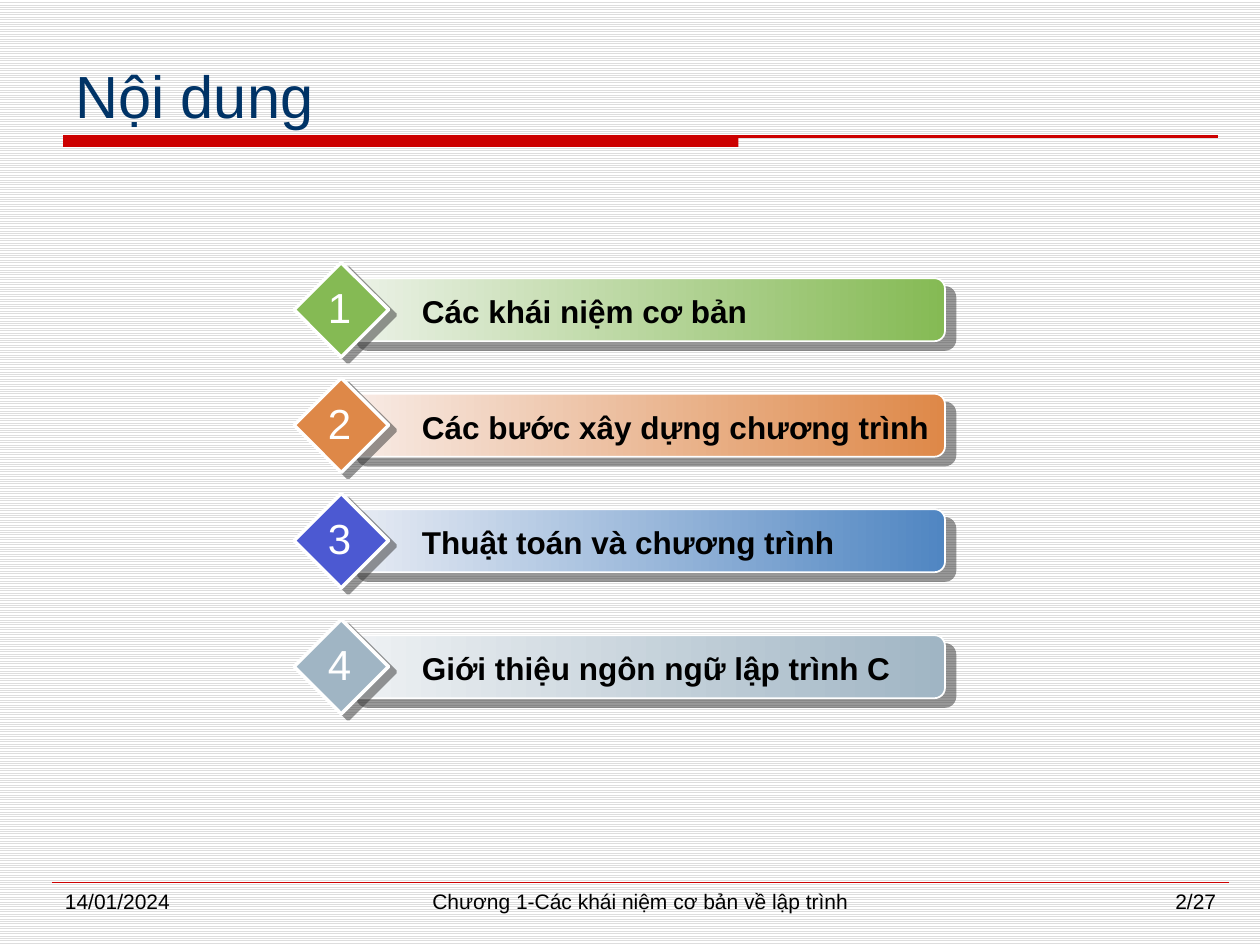
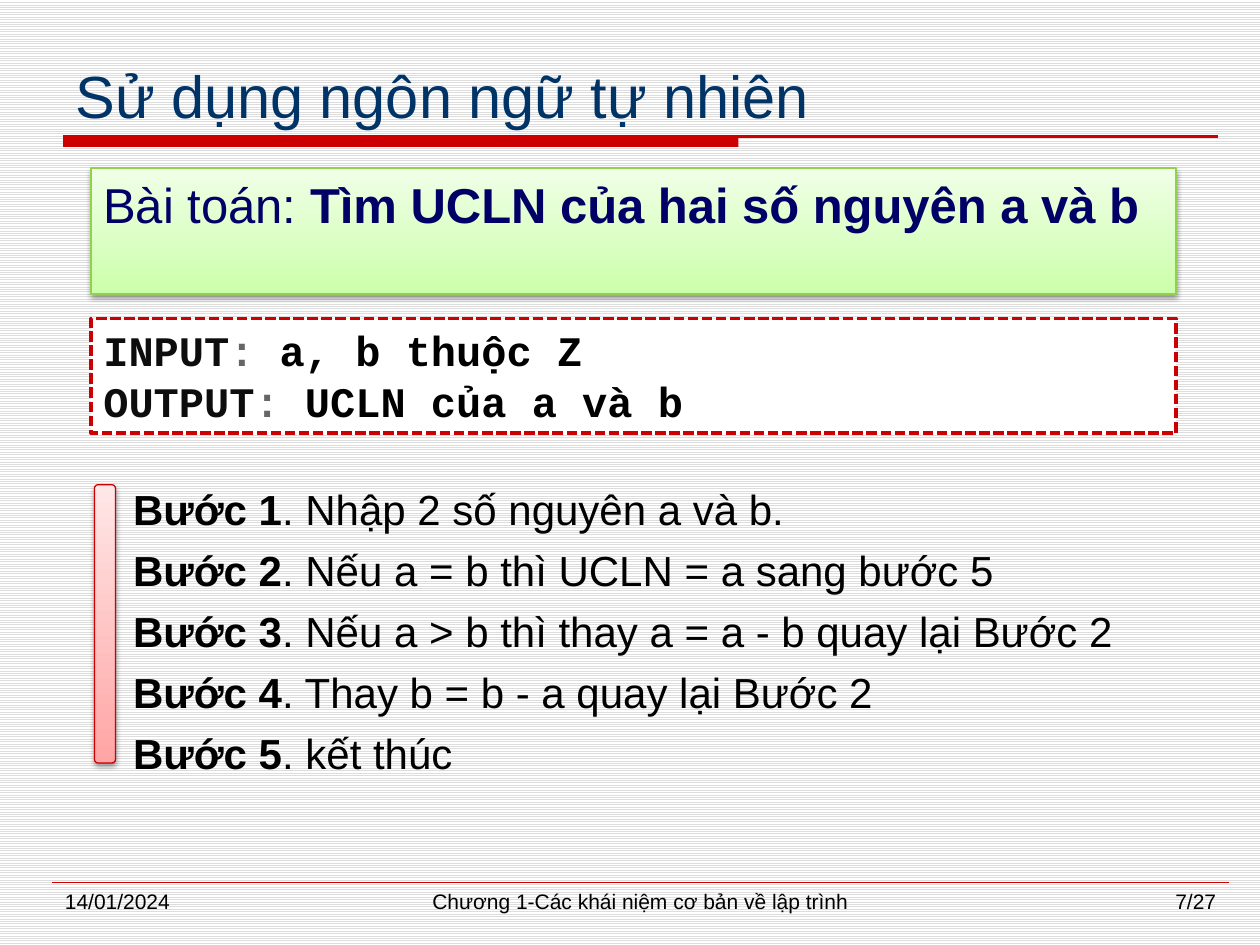
from dataclasses import dataclass
from typing import NamedTuple

import pptx
import pptx.dml.color
import pptx.enum.dml
import pptx.enum.shapes
import pptx.enum.text
import pptx.oxml.ns
import pptx.util
from lxml import etree
from pptx.util import Pt

ALIGN = pptx.enum.text.PP_ALIGN
ANCHOR = pptx.enum.text.MSO_ANCHOR
SHAPE = pptx.enum.shapes.MSO_SHAPE
DASH = pptx.enum.dml.MSO_LINE


@dataclass(frozen=True)
class Theme:
    sans: str = "Arial"
    mono: str = "Courier New"
    title_size: float = 34
    problem_size: float = 28
    body_size: float = 24
    label_size: float = 18
    footer_size: float = 12
    title: str = "003366"
    problem: str = "000066"
    text: str = "000000"
    keyword: str = "0D0D0D"
    colon: str = "666666"
    paper: str = "FFFFFF"
    stripe: str = "DDDDDD"
    accent: str = "CC0000"
    green: tuple[str, str] = ("F0FFE8", "CCFFAA")
    green_line: str = "92D050"
    red: tuple[str, str] = ("FFE7E7", "FFA5A5")


THEME = Theme()


class Area(NamedTuple):
    left: float
    top: float
    width: float
    height: float


class Span(NamedTuple):
    text: str
    bold: bool = False
    color: str = THEME.text


class Shadow(NamedTuple):
    color: str
    opacity: int
    blur: float
    distance: float
    angle: int


class AgendaItem(NamedTuple):
    top: float
    label: str
    light: str
    dark: str
    diamond: str


BAR_SHADOW = Shadow("333333", 50, 0, 7.8, 40)
DIAMOND_SHADOW = Shadow("333333", 50, 0, 5, 37)
SOFT_SHADOW = Shadow("000000", 38, 3.1, 1.6, 90)

AGENDA = [
    AgendaItem(150, "Các khái niệm cơ bản", "ECF2E8", "85BA54", "85BA54"),
    AgendaItem(216, "Các bước xây dựng chương trình", "F8ECE7", "DE8848", "DE8848"),
    AgendaItem(282, "Thuật toán và chương trình", "E8ECF4", "5086C2", "4C59D2"),
    AgendaItem(354, "Giới thiệu ngôn ngữ lập trình C", "EFF2F4", "A0B5C4", "A0B5C4"),
]
STEPS = [
    "Nhập 2 số nguyên a và b.",
    "Nếu a = b thì UCLN = a sang bước 5",
    "Nếu a > b thì thay a = a - b quay lại Bước 2",
    "Thay b = b - a quay lại Bước 2",
    "kết thúc",
]
CONTRACT = [("INPUT", " a, b thuộc Z"), ("OUTPUT", " UCLN của a và b")]


def rgb(color: str) -> pptx.dml.color.RGBColor:
    return pptx.dml.color.RGBColor.from_string(color)


def points(area: Area) -> list[pptx.util.Length]:
    return [Pt(length) for length in area]


def write(shape, lines: list[list[Span]], size: float, font: str = THEME.sans,
          align=ALIGN.LEFT, anchor=ANCHOR.TOP, gap: float = 0) -> None:
    """Fill a shape with paragraphs of spans, separated by a gap."""
    frame = shape.text_frame
    frame.word_wrap = True
    frame.vertical_anchor = anchor
    for index, line in enumerate(lines):
        para = frame.add_paragraph() if index else frame.paragraphs[0]
        para.alignment = align
        para.space_before = Pt(gap if index else 0)
        for span in line:
            run = para.add_run()
            run.text = span.text
            run.font.name = font
            run.font.size = Pt(size)
            run.font.bold = span.bold
            run.font.color.rgb = rgb(span.color)


def add_text(page, area: Area, lines: list[list[Span]], size: float, **style):
    box = page.shapes.add_textbox(*points(area))
    write(box, lines, size, **style)
    return box


def add_shape(page, kind, area: Area, colors: tuple[str, ...], line: str | None = None,
              width: float = 1, angle: int = 0, shadow: Shadow | None = None):
    """Draw a preset shape; two colours make a gradient."""
    shape = page.shapes.add_shape(kind, *points(area))
    if len(colors) == 1:
        shape.fill.solid()
        shape.fill.fore_color.rgb = rgb(colors[0])
    else:
        shape.fill.gradient()
        shape.fill.gradient_angle = angle
        for stop, color in zip(shape.fill.gradient_stops, colors):
            stop.color.rgb = rgb(color)
    if line:
        shape.line.color.rgb = rgb(line)
        shape.line.width = Pt(width)
    else:
        shape.line.fill.background()
    shape.shadow.inherit = False
    if shadow:
        add_shadow(shape, shadow)
    return shape


def add_shadow(shape, shadow: Shadow) -> None:
    qn = pptx.oxml.ns.qn
    effects = shape.element.spPr.find(qn("a:effectLst"))
    outer = etree.SubElement(
        effects, qn("a:outerShdw"), blurRad=str(int(Pt(shadow.blur))),
        dist=str(int(Pt(shadow.distance))), dir=str(shadow.angle * 60000),
        algn="ctr", rotWithShape="0")
    color = etree.SubElement(outer, qn("a:srgbClr"), val=shadow.color)
    etree.SubElement(color, qn("a:alpha"), val=str(shadow.opacity * 1000))


def add_rule(page, left: float, right: float, top: float, width: float) -> None:
    rule = page.shapes.add_connector(
        pptx.enum.shapes.MSO_CONNECTOR.STRAIGHT, Pt(left), Pt(top), Pt(right), Pt(top))
    rule.line.color.rgb = rgb(THEME.accent)
    rule.line.width = Pt(width)
    etree.SubElement(rule.element.spPr, pptx.oxml.ns.qn("a:effectLst"))


def add_page(deck, title: str, number: str):
    """Add a page with the striped background, title band and footer."""
    page = deck.slides.add_slide(deck.slide_layouts[6])
    fill = page.background.fill
    fill.patterned()
    fill.pattern = pptx.enum.dml.MSO_PATTERN.LIGHT_HORIZONTAL
    fill.fore_color.rgb = rgb(THEME.stripe)
    fill.back_color.rgb = rgb(THEME.paper)

    # Title and its band
    add_shape(page, SHAPE.RECTANGLE, Area(36, 78, 386, 6), (THEME.accent,))
    add_rule(page, 36, 696, 78, 1.5)
    add_text(page, Area(36, 24, 660, 54), [[Span(title, color=THEME.title)]],
             THEME.title_size, anchor=ANCHOR.BOTTOM)

    # Footer
    add_rule(page, 30, 702, 504, 0.25)
    for left, width, text, align in [
        (30, 156, "14/01/2024", ALIGN.LEFT),
        (210, 312, "Chương 1-Các khái niệm cơ bản về lập trình", ALIGN.CENTER),
        (546, 156, number, ALIGN.RIGHT),
    ]:
        add_text(page, Area(left, 504, width, 25), [[Span(text)]],
                 THEME.footer_size, align=align)
    return page


def add_agenda_item(page, number: int, item: AgendaItem) -> None:
    add_shape(page, SHAPE.ROUNDED_RECTANGLE, Area(198, item.top + 9, 342, 36),
              (item.light, item.dark), THEME.paper, 1, shadow=BAR_SHADOW)
    add_shape(page, SHAPE.DIAMOND, Area(168, item.top, 54, 54),
              (item.diamond,), THEME.paper, 2, shadow=DIAMOND_SHADOW)
    add_text(page, Area(234, item.top + 13.5, 306, 29), [[Span(item.label, True)]],
             THEME.label_size)
    add_text(page, Area(180, item.top + 7.5, 28, 36),
             [[Span(str(number), color=THEME.paper)]], THEME.body_size,
             align=ALIGN.CENTER).text_frame.word_wrap = False


def build_agenda(deck) -> None:
    page = add_page(deck, "Nội dung", "2/27")
    for number, item in enumerate(AGENDA, 1):
        add_agenda_item(page, number, item)


def build_algorithm(deck) -> None:
    page = add_page(deck, "Sử dụng ngôn ngữ tự nhiên", "7/27")

    # Problem statement
    problem = add_shape(page, SHAPE.RECTANGLE, Area(52, 96, 620, 72), THEME.green,
                        THEME.green_line, 0.75, angle=270, shadow=SOFT_SHADOW)
    write(problem, [[Span("Bài toán: ", color=THEME.problem),
                     Span("Tìm UCLN của hai số nguyên a và b", True, THEME.problem)]],
          THEME.problem_size, align=ALIGN.JUSTIFY)

    # Input and output
    contract = add_shape(page, SHAPE.RECTANGLE, Area(52, 182, 620, 65.5),
                         (THEME.paper,), THEME.accent, 2)
    contract.line.dash_style = DASH.SQUARE_DOT
    write(contract, [[Span(name, True, THEME.keyword), Span(":", True, THEME.colon),
                      Span(value, True)] for name, value in CONTRACT],
          THEME.body_size, font=THEME.mono)

    # Steps beside a marker
    add_shape(page, SHAPE.ROUNDED_RECTANGLE, Area(54, 277, 12, 159), THEME.red,
              THEME.accent, 0.75, angle=270, shadow=SOFT_SHADOW)
    add_text(page, Area(69, 273, 603, 201),
             [[Span(f"Bước {number}", True), Span(f". {step}")]
              for number, step in enumerate(STEPS, 1)],
             THEME.body_size, gap=6)


def main() -> None:
    deck = pptx.Presentation()
    deck.slide_width, deck.slide_height = Pt(720), Pt(540)
    build_agenda(deck)
    build_algorithm(deck)
    deck.save("out.pptx")


if __name__ == "__main__":
    main()
